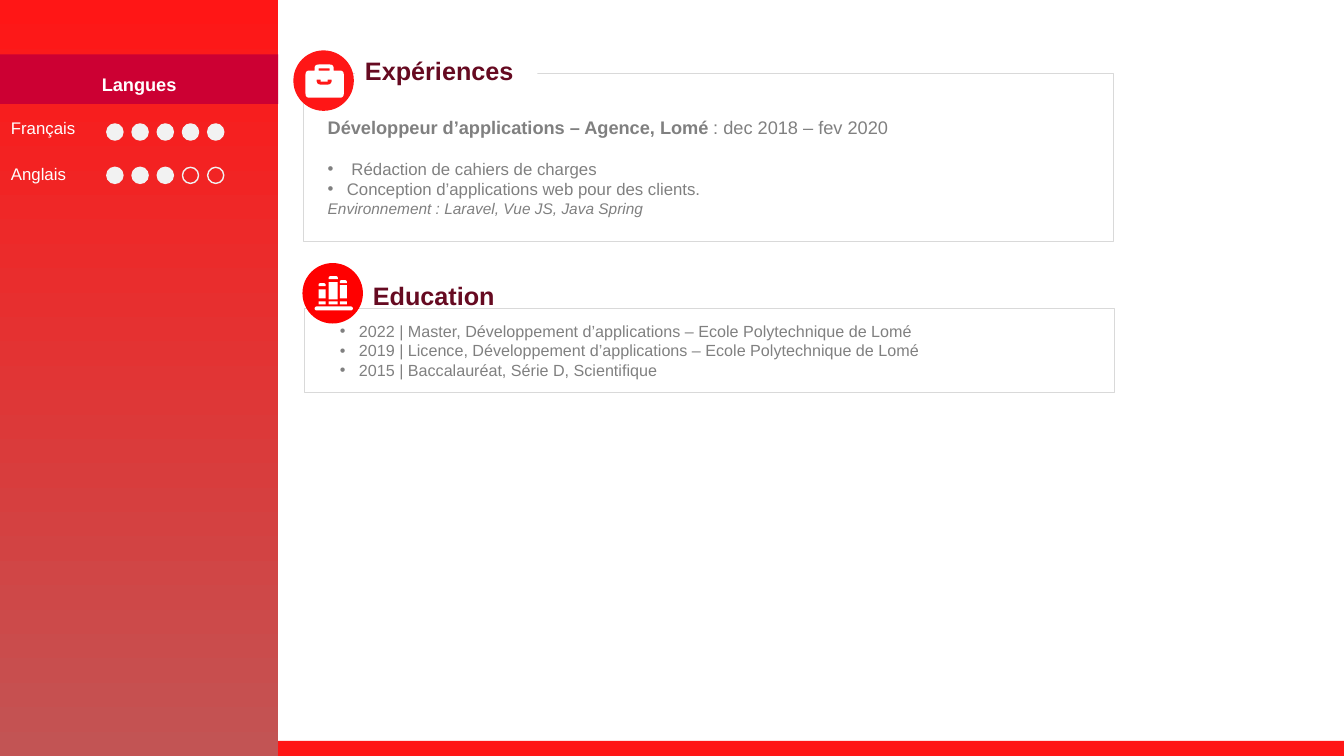
import math
from dataclasses import dataclass

import pptx
import pptx.dml.color
import pptx.enum.shapes
import pptx.enum.text
import pptx.oxml
import pptx.oxml.ns
import pptx.util
from lxml import etree

Inches = pptx.util.Inches
Pt = pptx.util.Pt
Kind = pptx.enum.shapes.MSO_SHAPE
Align = pptx.enum.text.PP_ALIGN
Anchor = pptx.enum.text.MSO_ANCHOR


@dataclass(frozen=True)
class Theme:
    font: str = "Arial"
    red: str = "FF1616"
    fade: str = "C25454"
    band: str = "CC0033"
    pure: str = "FF0000"
    wine: str = "660A21"
    grey: str = "808080"
    rule: str = "D9D9D9"
    dot: str = "F2F2F2"
    white: str = "FFFFFF"
    head: float = 18
    lead: float = 13
    text: float = 12
    study: float = 11.5
    note: float = 11


THEME = Theme()

HEADS = ["Expériences", "Education"]
SIDE = "Langues"
LANGS = [("Français", 5, 0.85), ("Anglais", 3, 0.75)]
# Each line: runs as (text, size, bold, italic), bulleted, space before
JOBS = [
    ([("Développeur d’applications – Agence, Lomé ", THEME.lead, True, False),
      (": dec 2018 – fev 2020", THEME.lead, False, False)], False, 0),
    ([(" Rédaction de cahiers de charges", THEME.text, False, False)], True, 15),
    ([("Conception d’applications web pour des clients.", THEME.text, False, False)], True, 0),
    ([("Environnement : Laravel, Vue JS, Java Spring", THEME.note, False, True)], False, 0),
]
STUDIES = [
    ([(line, THEME.study, False, False)], True, 0) for line in [
        "2022 | Master, Développement d’applications – Ecole Polytechnique de Lomé",
        "2019 | Licence, Développement d’applications – Ecole Polytechnique de Lomé",
        "2015 | Baccalauréat, Série D, Scientifique",
    ]
]
# Books: left, width, top of cap, top of cover, foot of cover
BOOKS = [(3.16, 0.07, 2.81, 2.87, 2.96), (3.26, 0.09, 2.74, 2.8, 2.97),
         (3.37, 0.07, 2.78, 2.83, 2.96)]
# Case outlines: corners as (x, y, radius)
CASE = [
    [(3.03, 0.7, 0.04), (3.12, 0.7, 0), (3.12, 0.64, 0.04), (3.31, 0.64, 0.04),
     (3.31, 0.7, 0), (3.41, 0.7, 0.04), (3.41, 0.97, 0.04), (3.03, 0.97, 0.04)],
    [(3.16, 0.68, 0), (3.16, 0.7, 0), (3.27, 0.7, 0), (3.27, 0.68, 0)],
    [(3.14, 0.79, 0), (3.14, 0.84, 0.04), (3.29, 0.84, 0.04), (3.29, 0.79, 0),
     (3.25, 0.79, 0), (3.25, 0.81, 0), (3.18, 0.81, 0), (3.18, 0.79, 0)],
]


def color(code):
    return pptx.dml.color.RGBColor.from_string(code)


def place(shape, box):
    shape.left, shape.top, shape.width, shape.height = map(Inches, box)


def paint(shape, fill=None, line=None, width=1):
    if fill:
        shape.fill.solid()
        shape.fill.fore_color.rgb = color(fill)
    else:
        shape.fill.background()
    if line:
        shape.line.color.rgb = color(line)
        shape.line.width = Pt(width)
    else:
        shape.line.fill.background()


def draw(shapes, kind, box, fill=None, line=None, width=1):
    shape = shapes.add_shape(kind, *map(Inches, box))
    shape.shadow.inherit = False
    paint(shape, fill, line, width)
    return shape


def style(run, size, code, bold=False, italic=False):
    font = run.font
    font.name, font.size, font.bold, font.italic = THEME.font, Pt(size), bold, italic
    font.color.rgb = color(code)


def label(shape, text, size, code, bold=False, align=Align.LEFT):
    frame = shape.text_frame
    frame.text = text
    frame.auto_size = pptx.enum.text.MSO_AUTO_SIZE.NONE
    para = frame.paragraphs[0]
    para.alignment = align
    style(para.runs[0], size, code, bold)
    return para


def bullet(para, left, hang):
    """Give the paragraph a dot and hanging indent, or none when hang is 0."""
    props = para._p.get_or_add_pPr()
    props.set("marL", str(Inches(left)))
    props.set("indent", str(-Inches(hang)))
    tag = "a:buChar" if hang else "a:buNone"
    mark = etree.SubElement(props, pptx.oxml.ns.qn(tag))
    if hang:
        mark.set("char", "•")


def fill_list(body, lines, left, top):
    frame = body.text_frame
    frame.auto_size = pptx.enum.text.MSO_AUTO_SIZE.NONE
    frame.vertical_anchor = Anchor.TOP
    frame.margin_top = Inches(top)
    for i, (runs, dotted, gap) in enumerate(lines):
        para = frame.add_paragraph() if i else frame.paragraphs[0]
        para.space_before = Pt(gap)
        bullet(para, left if dotted else 0, 0.19 if dotted else 0)
        for text, size, bold, italic in runs:
            run = para.add_run()
            run.text = text
            style(run, size, THEME.grey, bold, italic)


def soften(corners):
    """Turn corners with radii into a closed run of points."""
    points = []
    for i, (x, y, radius) in enumerate(corners):
        ends = []
        for px, py, _ in (corners[i - 1], corners[(i + 1) % len(corners)]):
            part = radius / math.dist((x, y), (px, py))
            ends.append((x + (px - x) * part, y + (py - y) * part))
        (ax, ay), (bx, by) = ends
        for t in ((0, 0.25, 0.5, 0.75, 1) if radius else (0,)):
            u = 1 - t
            points.append((Inches(u * u * ax + 2 * u * t * x + t * t * bx),
                           Inches(u * u * ay + 2 * u * t * y + t * t * by)))
    return points


def draw_case(shapes):
    group = shapes.add_group_shape().shapes
    draw(group, Kind.OVAL, (2.91, 0.5, 0.6, 0.6), THEME.red)
    first, *holes = map(soften, CASE)
    pen = group.build_freeform(*first[0], scale=1.0)
    pen.add_line_segments(first[1:])
    for hole in holes:
        pen.move_to(*hole[0])
        pen.add_line_segments(hole[1:])
    case = pen.convert_to_shape()
    case.shadow.inherit = False
    paint(case, THEME.white)


def draw_books(shapes):
    group = shapes.add_group_shape().shapes
    draw(group, Kind.OVAL, (3, 2.61, 0.6, 0.6), THEME.pure)
    for left, width, cap, cover, foot in BOOKS:
        top = draw(group, Kind.ROUND_2_SAME_RECTANGLE, (left, cap, width, 0.03), THEME.white)
        top.adjustments[0] = 0.5
        draw(group, Kind.RECTANGLE, (left, cover, width, foot - cover), THEME.white)
        draw(group, Kind.RECTANGLE, (left, 2.99, width, 0.03), THEME.white)
    shelf = draw(group, Kind.ROUNDED_RECTANGLE, (3.12, 3.04, 0.38, 0.04), THEME.white)
    shelf.adjustments[0] = 0.5


def draw_side(shapes):
    draw(shapes, Kind.RECTANGLE, (0, 7.35, 13.33, 0.15), THEME.red)
    side = draw(shapes, Kind.RECTANGLE, (0, 0, 2.76, 7.5))
    side.fill.gradient()
    side.fill.gradient_angle = 270
    for stop, code in zip(side.fill.gradient_stops, (THEME.red, THEME.fade)):
        stop.color.rgb = color(code)
    band = draw(shapes, Kind.RECTANGLE, (0, 0.54, 2.76, 0.49), THEME.band)
    label(band, SIDE, THEME.lead, THEME.white, True, Align.CENTER).line_spacing = 1.5
    for row, (name, level, width) in enumerate(LANGS):
        box = shapes.add_textbox(*map(Inches, (0.01, 1.12 + 0.46 * row, width, 0.3)))
        label(box, name, THEME.text, THEME.white)
        box.text_frame.word_wrap = False
        for i in range(5):
            spot = (1.06 + 0.25 * i, 1.23 + 0.43 * row, 0.16, 0.16)
            draw(shapes, Kind.FLOWCHART_CONNECTOR, spot,
                 THEME.dot if i < level else None, THEME.dot)


def main():
    deck = pptx.Presentation()
    deck.slide_width, deck.slide_height = Inches(13.33), Inches(7.5)
    slide = deck.slides.add_slide(deck.slide_layouts[3])
    shapes = slide.shapes
    title, jobs, studies = slide.placeholders
    draw_side(shapes)
    draw(shapes, Kind.RECTANGLE, (3.01, 0.73, 8.03, 1.66), None, THEME.rule, 0.25)
    for holder in (studies, jobs, title):
        shapes.element.append(holder.element)

    place(studies, (3.02, 3.06, 8.03, 0.83))
    paint(studies, None, THEME.rule, 0.25)
    fill_list(studies, STUDIES, 0.44, 0.13)
    place(jobs, (3.15, 0.88, 7.88, 1.33))
    paint(jobs, THEME.white)
    fill_list(jobs, JOBS, 0.19, 0.27)
    place(title, (3.52, 0.5, 1.81, 0.4))
    paint(title, THEME.white)
    label(title, HEADS[0], THEME.head, THEME.wine, True)
    title.text_frame.vertical_anchor = Anchor.TOP
    head = shapes.add_textbox(*map(Inches, (3.6, 2.73, 3.68, 0.4)))
    label(head, HEADS[1], THEME.head, THEME.wine, True)
    head.text_frame.word_wrap = True
    draw_case(shapes)
    draw_books(shapes)
    deck.save("out.pptx")


if __name__ == "__main__":
    main()
